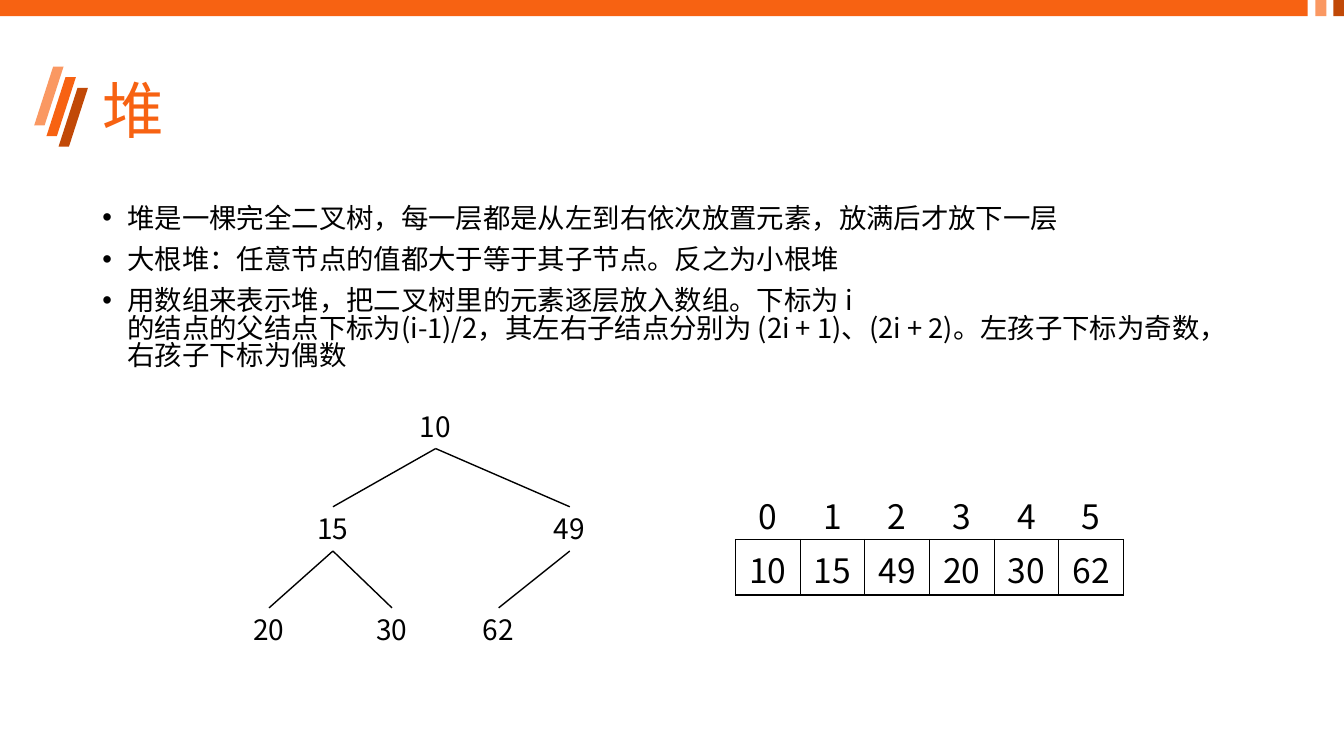
from lxml.etree import SubElement
from pptx import Presentation
from pptx.dml.color import RGBColor
from pptx.enum.shapes import MSO_CONNECTOR as Connector, MSO_SHAPE as Shape
from pptx.enum.text import MSO_ANCHOR as Anchor, PP_ALIGN as Align
from pptx.oxml import parse_xml
from pptx.oxml.ns import nsdecls, qn
from pptx.util import Pt

COLORS = {"orange": "F76212", "light": "FA9862", "dark": "C14907", "ink": "000000"}
FONT = "Noto Sans CJK SC"


def add_span(para, text, size, color="ink"):
    span = para.add_run()
    span.text = text
    span.font.size = Pt(size)
    span.font.name = FONT
    span.font.color.rgb = RGBColor.from_string(COLORS[color])
    # East Asian glyphs take their typeface from a separate element
    SubElement(span.font._element, qn("a:ea"), typeface=FONT)


def add_block(kind, left, top, width, height, color):
    block = page.shapes.add_shape(kind, Pt(left), Pt(top), Pt(width), Pt(height))
    block.shadow.inherit = False
    block.fill.solid()
    block.fill.fore_color.rgb = RGBColor.from_string(COLORS[color])
    block.line.fill.background()
    return block


deck = Presentation()
deck.slide_width, deck.slide_height = Pt(960), Pt(540)
page = deck.slides.add_slide(deck.slide_layouts[6])

# Slanted stripes beside the title, and the band along the top edge
for left, top, color in [(33.2, 55.2, "orange"), (24.4, 47.6, "light"), (41.8, 62.8, "dark")]:
    stripe = add_block(Shape.PARALLELOGRAM, left, top, 21, 42, color)
    stripe.adjustments[0] = 0.646
for left, width, color in [(0, 934, "orange"), (939.6, 7.8, "light"), (952.4, 7.6, "dark")]:
    add_block(Shape.RECTANGLE, left, 0, width, 11.5, color)

# Title
title = page.shapes.add_textbox(Pt(66), Pt(28.8), Pt(828), Pt(104.4)).text_frame
title.word_wrap = True
title.vertical_anchor = Anchor.MIDDLE
title.paragraphs[0].line_spacing = 0.9
add_span(title.paragraphs[0], "堆", 44, "orange")

# Bullets; each inner list holds the lines of one bullet
bullets = [
    ["堆是一棵完全二叉树，每一层都是从左到右依次放置元素，放满后才放下一层"],
    ["大根堆：任意节点的值都大于等于其子节点。反之为小根堆"],
    ["用数组来表示堆，把二叉树里的元素逐层放入数组。下标为 i",
     "的结点的父结点下标为(i-1)/2，其左右子结点分别为 (2i + 1)、(2i + 2)。"
     "左孩子下标为奇数，右孩子下标为偶数"],
]
body = page.shapes.add_textbox(Pt(66), Pt(144), Pt(828), Pt(136.8)).text_frame
body.word_wrap = True
for index, lines in enumerate(bullets):
    para = body.add_paragraph() if index else body.paragraphs[0]
    para.line_spacing = 0.83
    para.space_before = Pt(10 if index else 0)
    props = para._p.get_or_add_pPr()
    props.set("marL", str(Pt(18)))
    props.set("indent", str(-Pt(18)))
    SubElement(props, qn("a:buFont"), typeface="Arial")
    SubElement(props, qn("a:buChar"), char="•")
    for number, line in enumerate(lines):
        if number:
            para.add_line_break()
        add_span(para, line, 19.6)

# Heap as a tree: the parent of node i is node (i - 1) // 2
heap = [10, 15, 49, 20, 30, 62]
centers = [311.2, 237.8, 407, 192.2, 280, 356.2]
tops = [288.8, 362, 362, 434.2, 434.2, 434.2]
NODE_WIDTH, NODE_HEIGHT = 36.8, 31.6
for value, center, top in zip(heap, centers, tops):
    node = page.shapes.add_textbox(
        Pt(center - NODE_WIDTH / 2), Pt(top), Pt(NODE_WIDTH), Pt(NODE_HEIGHT)).text_frame
    node.word_wrap = False
    add_span(node.paragraphs[0], str(value), 20)
for child in range(1, len(heap)):
    parent = (child - 1) // 2
    edge = page.shapes.add_connector(
        Connector.STRAIGHT, Pt(centers[parent]), Pt(tops[parent] + NODE_HEIGHT),
        Pt(centers[child]), Pt(tops[child]))
    edge.line.width = Pt(1)
    edge.line.color.rgb = RGBColor.from_string(COLORS["ink"])
    SubElement(edge._element.spPr, qn("a:effectLst"))

# Heap as an array: indexes above bordered values
frame = page.shapes.add_table(2, len(heap), Pt(525.4), Pt(349.4), Pt(277.2), Pt(75.6))
table = frame.table
table.first_row = table.horz_banding = False
for column in table.columns:
    column.width = Pt(46.2)
rows = [(range(len(heap)), 36, 1.2, ["lnB"]),
        (heap, 39.6, 3.6, ["lnL", "lnR", "lnT", "lnB"])]
for row, (values, height, margin, borders) in enumerate(rows):
    table.rows[row].height = Pt(height)
    for column, value in enumerate(values):
        cell = table.cell(row, column)
        cell.margin_left = cell.margin_right = cell.margin_bottom = 0
        cell.margin_top = Pt(margin)
        para = cell.text_frame.paragraphs[0]
        para.alignment = Align.CENTER
        add_span(para, str(value), 24)
        for border in borders:
            cell._tc.get_or_add_tcPr().append(parse_xml(
                f'<a:{border} {nsdecls("a")} w="{Pt(1)}"><a:solidFill>'
                f'<a:srgbClr val="{COLORS["ink"]}"/></a:solidFill></a:{border}>'))
        cell.fill.background()

deck.save("out.pptx")
